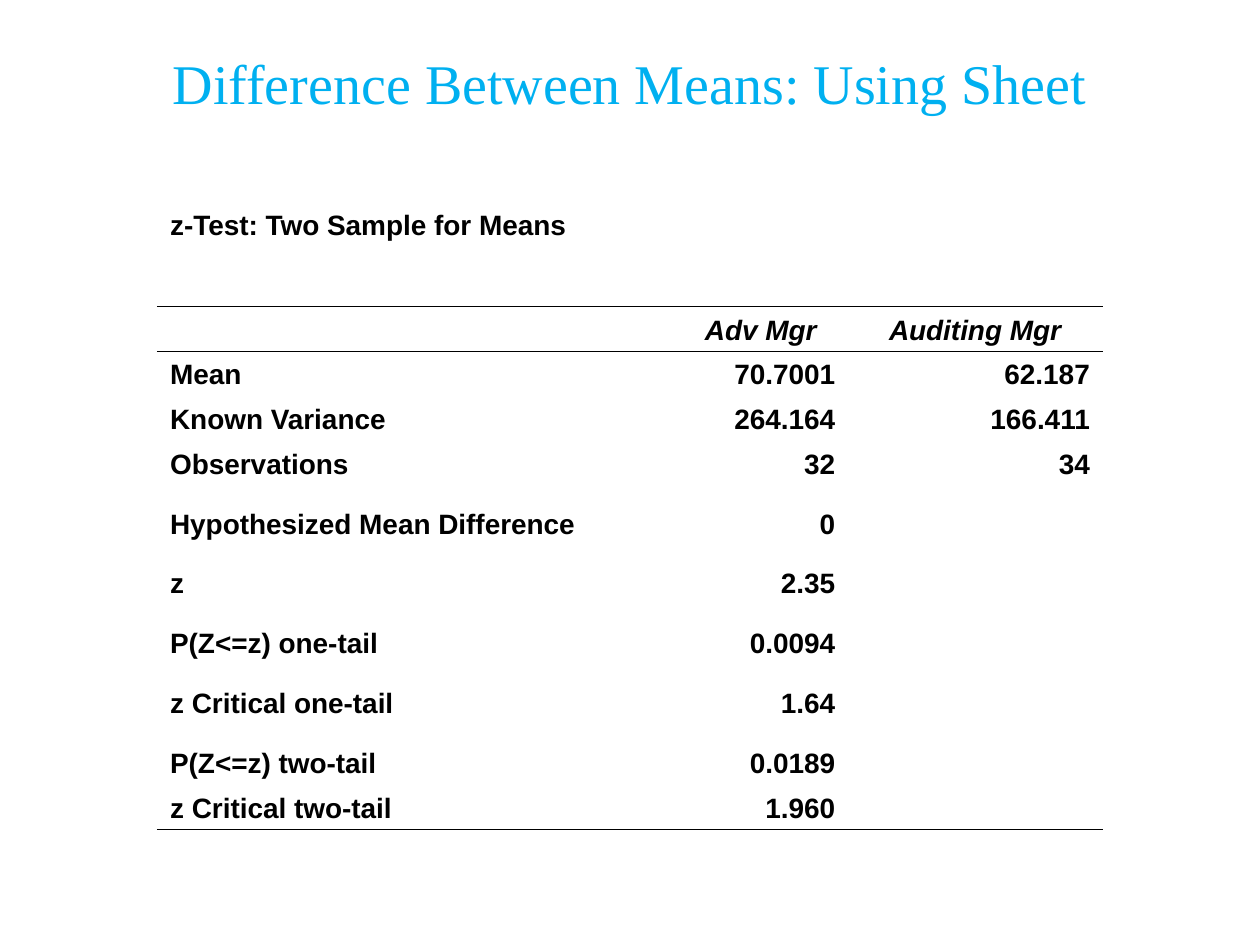
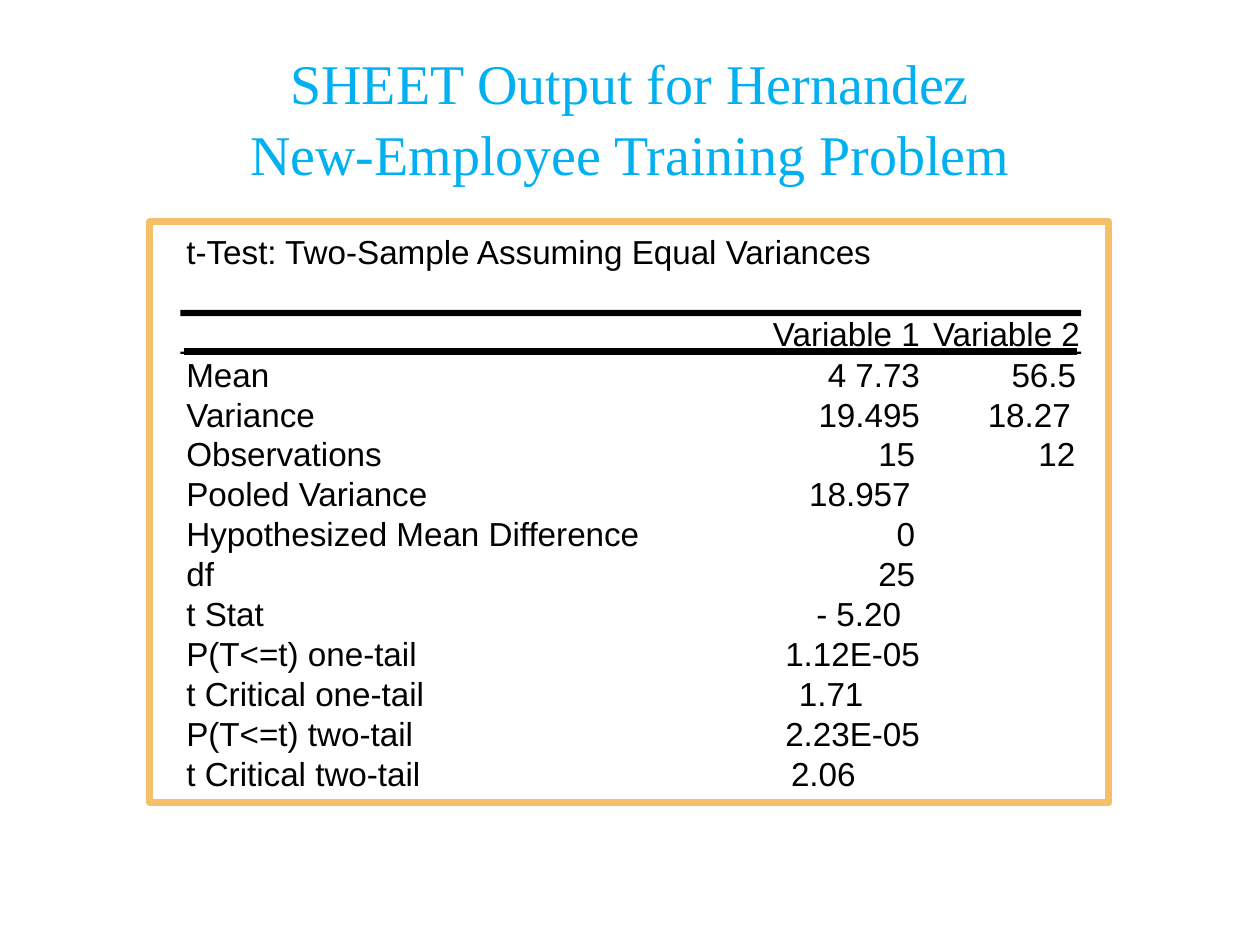
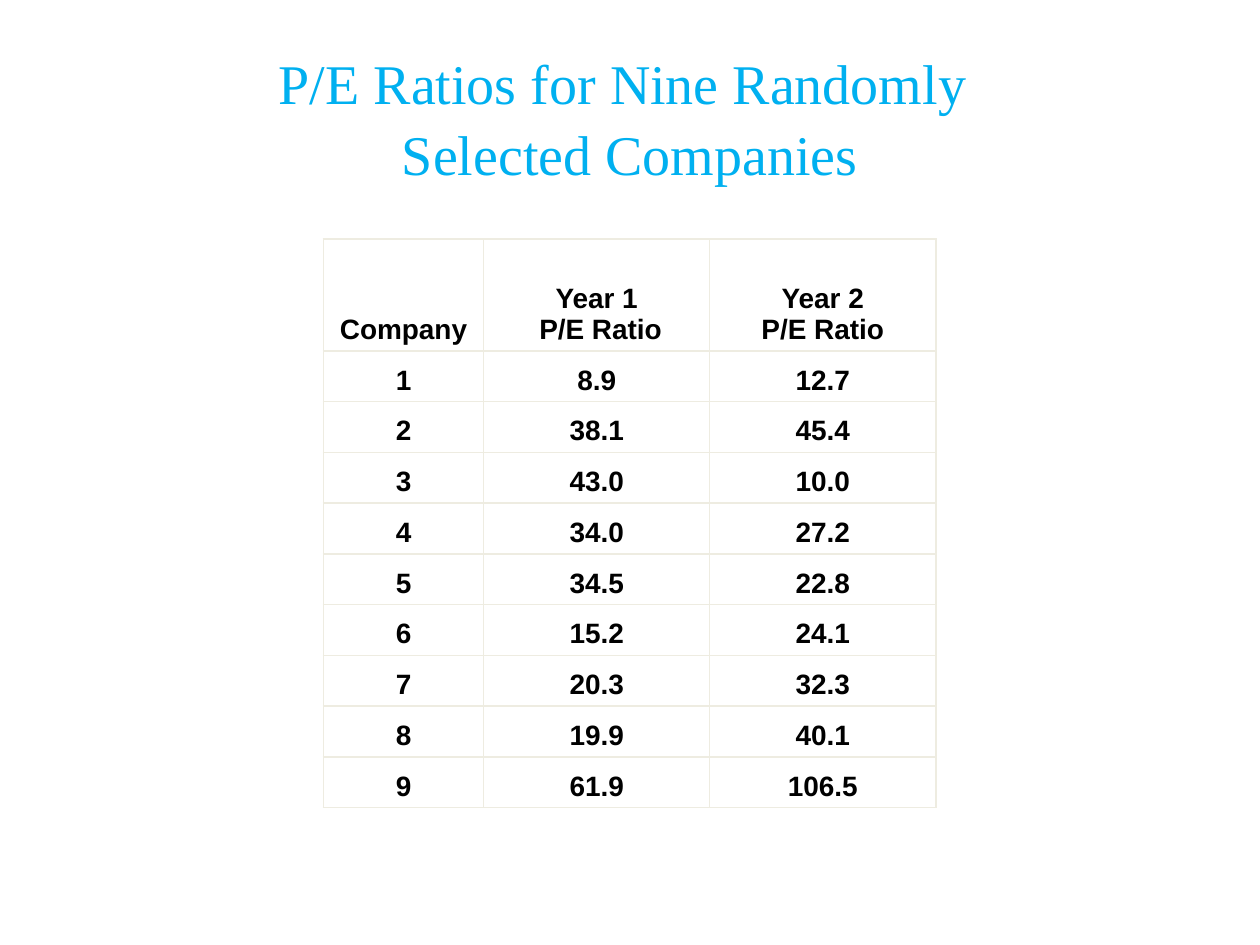
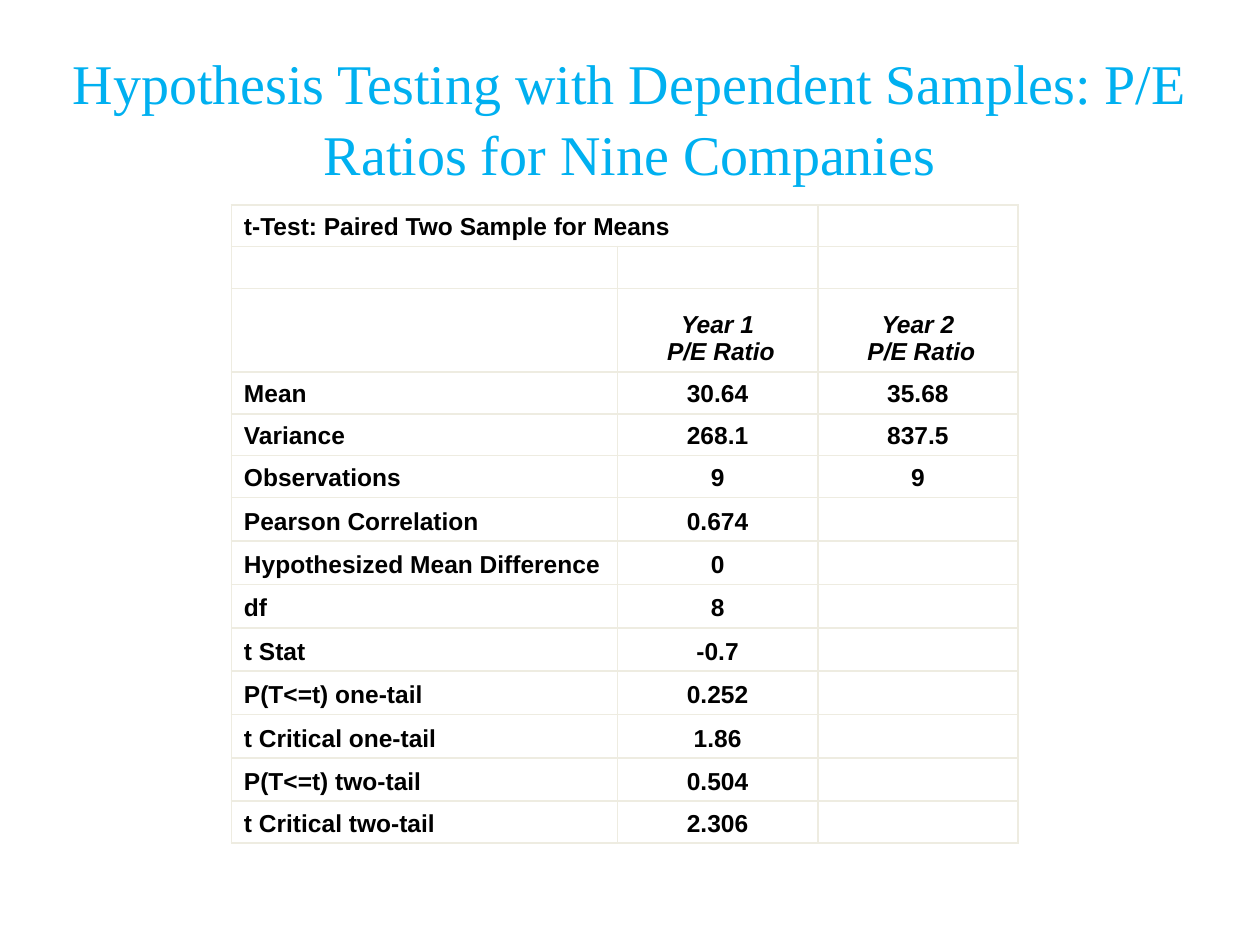
from dataclasses import dataclass

from lxml import etree
from pptx import Presentation
from pptx.dml.color import RGBColor
from pptx.enum.shapes import MSO_CONNECTOR, MSO_SHAPE
from pptx.enum.text import MSO_ANCHOR, PP_ALIGN
from pptx.oxml.ns import qn
from pptx.util import Pt

LEFT, CENTER, RIGHT = PP_ALIGN.LEFT, PP_ALIGN.CENTER, PP_ALIGN.RIGHT
TOP, BOTTOM = MSO_ANCHOR.TOP, MSO_ANCHOR.BOTTOM
RECTANGLE = MSO_SHAPE.RECTANGLE
STRAIGHT = MSO_CONNECTOR.STRAIGHT


@dataclass(frozen=True)
class Theme:
    title_color: str = "00B0F0"
    text_color: str = "000000"
    frame_color: str = "F6BF69"
    grid_color: str = "EEECE1"
    title_font: str = "Times New Roman"
    body_font: str = "Arial"
    title_size: float = 32
    output_size: float = 19
    table_size: float = 16
    small_table_size: float = 14
    title_spacing: float = 1.06
    cell_margin: float = 3.2
    border_width: float = 1
    heavy_width: float = 4


class Deck:
    def __init__(self, theme):
        self.theme = theme
        self.presentation = Presentation()
        self.presentation.slide_width = Pt(720)
        self.presentation.slide_height = Pt(540)
        self.page = None

    def add_page(self, title):
        self.page = self.presentation.slides.add_slide(self.presentation.slide_layouts[6])
        theme = self.theme
        paragraph = self.text(title, 30, 18, 660, 78.5, theme.title_size, theme.title_font,
                              theme.title_color, CENTER, (0, 7.2, 0, 0))
        paragraph.line_spacing = theme.title_spacing

    def style(self, paragraph, size, font, color, align):
        paragraph.alignment = align
        paragraph.font.size = Pt(size)
        paragraph.font.name = font
        paragraph.font.color.rgb = RGBColor.from_string(color)

    def text(self, words, left, top, width, height, size, font, color, align, insets):
        """Add a one-paragraph text box; insets run left, top, right, bottom."""
        box = self.page.shapes.add_textbox(Pt(left), Pt(top), Pt(width), Pt(height))
        frame = box.text_frame
        frame.word_wrap = True
        frame.vertical_anchor = TOP
        (frame.margin_left, frame.margin_top,
         frame.margin_right, frame.margin_bottom) = map(Pt, insets)
        paragraph = frame.paragraphs[0]
        for index, line in enumerate(words.split("\n")):
            if index:
                paragraph.add_line_break()
            paragraph.add_run().text = line
        self.style(paragraph, size, font, color, align)
        return paragraph

    def output_text(self, words, left, top, width, align=LEFT):
        insets = (0, 3.6, 7.2, 3.6) if align == RIGHT else (7.2, 3.6, 0, 3.6)
        self.text(words, left, top, width, 29.5, self.theme.output_size,
                  self.theme.body_font, self.theme.text_color, align, insets)

    def rectangle(self, left, top, width, height, fill=None, line=None):
        shape = self.page.shapes.add_shape(RECTANGLE, Pt(left), Pt(top), Pt(width), Pt(height))
        shape.shadow.inherit = False
        if fill:
            shape.fill.solid()
            shape.fill.fore_color.rgb = RGBColor.from_string(fill)
        else:
            shape.fill.background()
        if line:
            shape.line.color.rgb = RGBColor.from_string(line)
            shape.line.width = Pt(self.theme.heavy_width)
        else:
            shape.line.fill.background()

    def horizontal_line(self, left, right, y):
        line = self.page.shapes.add_connector(STRAIGHT, Pt(left), Pt(y), Pt(right), Pt(y))
        line.line.color.rgb = RGBColor.from_string(self.theme.text_color)
        line.line.width = Pt(self.theme.heavy_width)
        etree.SubElement(line._element.spPr, qn("a:effectLst"))

    def borders(self, cell, sides, color):
        """Draw the named sides; they are given in schema order, L R T B."""
        properties = cell._tc.get_or_add_tcPr()
        for index, side in enumerate(sides):
            line = etree.Element(qn(f"a:ln{side}"), w=str(Pt(self.theme.border_width)))
            fill = etree.SubElement(line, qn("a:solidFill"))
            etree.SubElement(fill, qn("a:srgbClr"), val=color)
            properties.insert(index, line)

    def table(self, left, top, widths, heights, rows, size, aligns,
              heading_row=None, italic_heading=False, merge_title=False, grid=True):
        graphic = self.page.shapes.add_table(len(heights), len(widths), Pt(left), Pt(top),
                                             Pt(sum(widths)), Pt(sum(heights)))
        table = graphic.table
        table.first_row = table.horz_banding = False
        for column, width in zip(table.columns, widths):
            column.width = Pt(width)
        for row_index, (row, height) in enumerate(zip(table.rows, heights)):
            row.height = Pt(height)
            heading = row_index == heading_row
            words = rows[row_index] + ("",) * (len(widths) - len(rows[row_index]))
            for cell, value, align in zip(row.cells, words, aligns):
                cell.text = value
                cell.vertical_anchor = BOTTOM
                cell.margin_top = cell.margin_bottom = Pt(self.theme.cell_margin)
                cell.fill.background()
                for paragraph in cell.text_frame.paragraphs:
                    self.style(paragraph, size, self.theme.body_font, self.theme.text_color,
                               CENTER if heading else align)
                    paragraph.font.bold = True
                    paragraph.font.italic = heading and italic_heading
                if grid:
                    self.borders(cell, "LRTB", self.theme.grid_color)
        if merge_title:
            table.cell(0, 0).merge(table.cell(0, 1))
        return table


def z_test_page(deck):
    deck.add_page("Difference Between Means: Using Sheet")
    rows = [
        ("z-Test: Two Sample for Means",),
        (),
        ("", "Adv Mgr", "Auditing Mgr"),
        ("Mean", "70.7001", "62.187"),
        ("Known Variance", "264.164", "166.411"),
        ("Observations", "32", "34"),
        ("Hypothesized Mean Difference", "0"),
        ("z", "2.35"),
        ("P(Z<=z) one-tail", "0.0094"),
        ("z Critical one-tail", "1.64"),
        ("P(Z<=z) two-tail", "0.0189"),
        ("z Critical two-tail", "1.960"),
    ]
    heights = [34] * 2 + [24.9] * 4 + [34.2] * 5 + [24.9]
    table = deck.table(90, 107.3, [295, 99.5, 145.5], heights, rows, deck.theme.table_size,
                       (LEFT, RIGHT, RIGHT), heading_row=2, italic_heading=True,
                       merge_title=True, grid=False)
    for row_index, sides in ((1, "B"), (2, "TB"), (3, "T"), (11, "B")):
        for cell in table.rows[row_index].cells:
            deck.borders(cell, sides, deck.theme.text_color)


def training_page(deck):
    deck.add_page("SHEET Output for Hernandez\nNew-Employee Training Problem")
    theme = deck.theme
    deck.rectangle(85.7, 126.7, 548, 332, line=theme.frame_color)
    deck.rectangle(103, 177.1, 514.8, 3.6, fill=theme.text_color)
    deck.horizontal_line(105, 615.6, 200.9)
    deck.rectangle(103, 200.9, 514.8, 1.4, fill=theme.text_color)

    label_left, first_row, row_step = 99.4, 198.7, 22.8
    deck.output_text("t-Test: Two-Sample Assuming Equal Variances", label_left, 128.9, 420)
    for heading, left in (("Variable 1", 432.7), ("Variable 2", 524.2)):
        deck.output_text(heading, left, 175.7, 100, RIGHT)

    # Each value carries the right edge and the width of its box.
    rows = [
        ("Mean", ("4 7.73", 532.8, 140), ("56.5", 622, 51)),
        ("Variance", ("19.495", 532.8, 94), ("18.27", 619, 88)),
        ("Observations", ("15", 530, 35), ("12", 621.5, 35)),
        ("Pooled Variance", ("18.957", 527.5, 88)),
        ("Hypothesized Mean Difference", ("0", 530, 25)),
        ("df", ("25", 530, 35)),
        ("t Stat", ("- 5.20", 522, 78)),
        ("P(T<=t) one-tail", ("1.12E-05", 532.8, 92)),
        ("t Critical one-tail", ("1.71", 500.5, 51)),
        ("P(T<=t) two-tail", ("2.23E-05", 532.8, 92)),
        ("t Critical two-tail", ("2.06", 496, 57)),
    ]
    for index, (label, *values) in enumerate(rows):
        top = first_row + index * row_step
        deck.output_text(label, label_left, top, 275)
        for value, right, width in values:
            deck.output_text(value, right - width, top, width, RIGHT)


def ratios_page(deck):
    deck.add_page("P/E Ratios for Nine Randomly \nSelected Companies")
    year_1 = ("8.9", "38.1", "43.0", "34.0", "34.5", "15.2", "20.3", "19.9", "61.9")
    year_2 = ("12.7", "45.4", "10.0", "27.2", "22.8", "24.1", "32.3", "40.1", "106.5")
    rows = [("Company", "Year 1\n P/E Ratio", "Year 2\nP/E Ratio")]
    rows += [(str(company), *ratios)
             for company, ratios in enumerate(zip(year_1, year_2), start=1)]
    deck.table(184.8, 136.7, [91.6, 129.2, 129.2], [63.8] + [29] * 9, rows,
               deck.theme.table_size, (CENTER,) * 3, heading_row=0)


def paired_test_page(deck):
    deck.add_page("Hypothesis Testing with Dependent Samples: P/E Ratios for Nine Companies")
    rows = [
        ("t-Test: Paired Two Sample for Means",),
        (),
        ("", "Year 1\n P/E Ratio", "Year 2\n P/E Ratio"),
        ("Mean", "30.64", "35.68"),
        ("Variance", "268.1", "837.5"),
        ("Observations", "9", "9"),
        ("Pearson Correlation", "0.674"),
        ("Hypothesized Mean Difference", "0"),
        ("df", "8"),
        ("t Stat", "-0.7"),
        ("P(T<=t) one-tail", "0.252"),
        ("t Critical one-tail", "1.86"),
        ("P(T<=t) two-tail", "0.504"),
        ("t Critical two-tail", "2.306"),
    ]
    heights = [24] * 2 + [47.5] + [24] * 3 + [24.8] * 7 + [24]
    deck.table(132.2, 117, [220.6, 114.5, 114.5], heights, rows, deck.theme.small_table_size,
               (LEFT, CENTER, CENTER), heading_row=2, italic_heading=True, merge_title=True)


def main():
    deck = Deck(Theme())
    for build_page in (z_test_page, training_page, ratios_page, paired_test_page):
        build_page(deck)
    deck.presentation.save("out.pptx")


if __name__ == "__main__":
    main()
